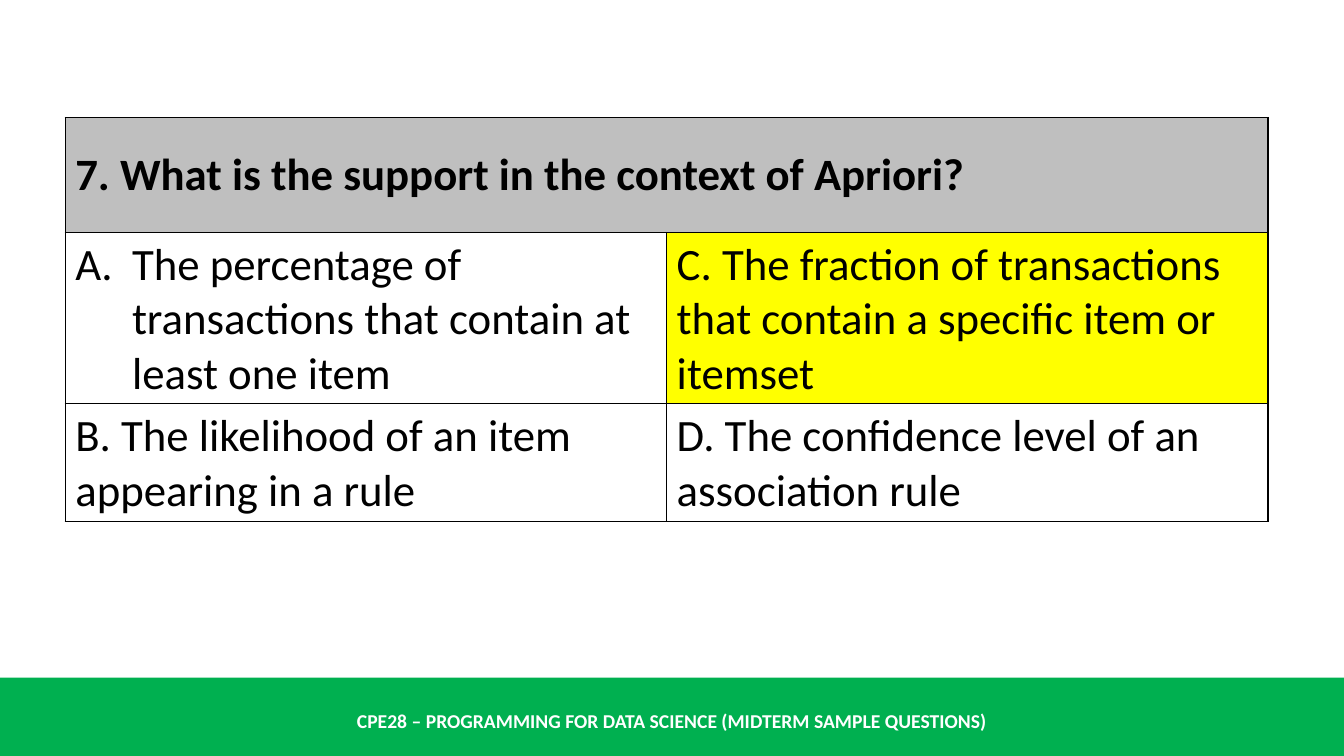
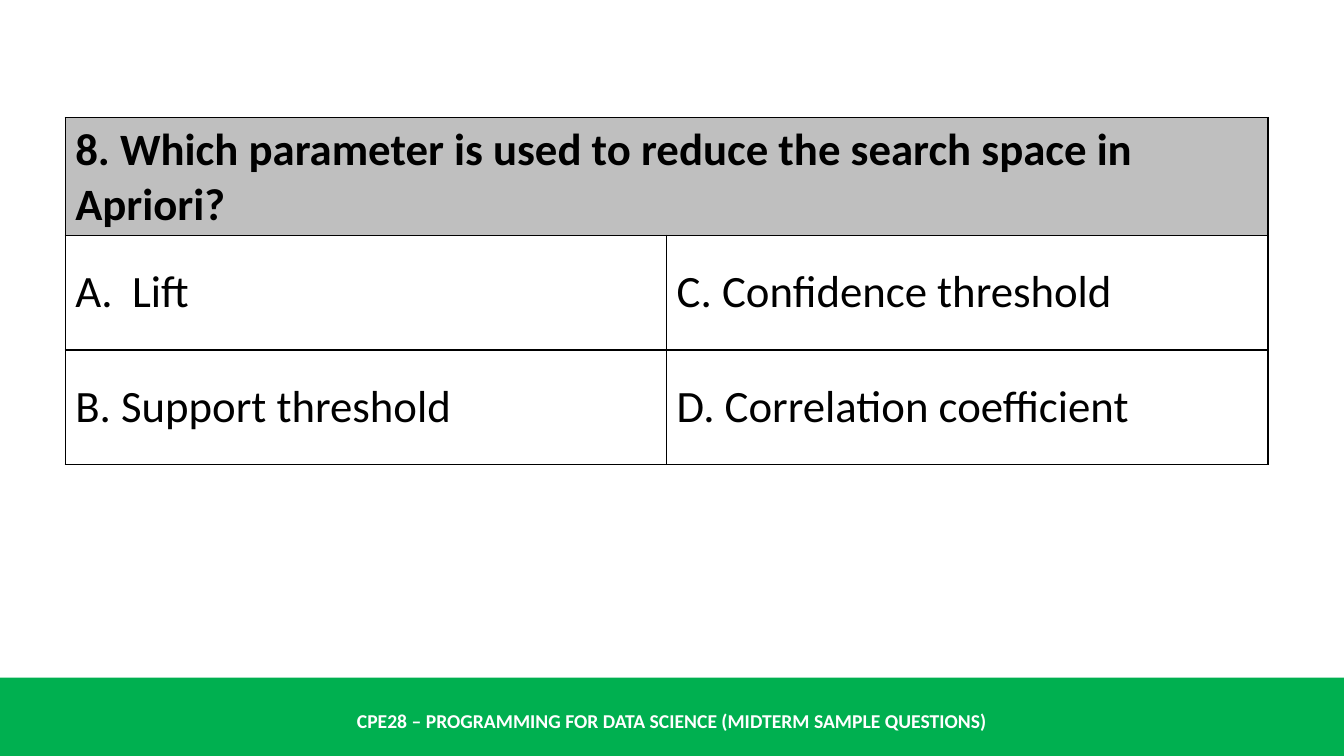
import pptx
import pptx.dml.color
import pptx.enum.shapes
import pptx.enum.text
import pptx.oxml
import pptx.oxml.ns
import pptx.util
import lxml.etree

Pt = pptx.util.Pt
RGB = pptx.dml.color.RGBColor.from_string
MIDDLE = pptx.enum.text.MSO_ANCHOR.MIDDLE

COLORS = {
    "band": "00B050",
    "band_text": "FFFFFF",
    "text": "000000",
    "border": "000000",
    "question": "BFBFBF",
    "answer": "FFFF00",
}
FOOTER = "CPE28 – PROGRAMMING FOR DATA SCIENCE (MIDTERM SAMPLE QUESTIONS)"
FOOTER_FONT = {"name": "Calibri", "size": Pt(14), "bold": True}
QUESTION_FONT = {"name": "Calibri", "size": Pt(32), "bold": True}
OPTION_FONT = {**QUESTION_FONT, "bold": False}
PLAIN_TABLE = {"first_row": False, "horz_banding": False}
SLIDE_WIDTH, SLIDE_HEIGHT = 960, 540
BAND_TOP = 484
COLUMN_WIDTH, ROW_HEIGHT = 429.6, 82
HANGING = 40.5

QUIZ = [
    {
        "question": "7. What is the support in the context of Apriori?",
        "options": [
            ["The percentage of transactions that contain at least one item",
             "C. The fraction of transactions that contain a specific item or itemset"],
            ["B. The likelihood of an item appearing in a rule",
             "D. The confidence level of an association rule"],
        ],
        "answer": (1, 1),
    },
    {
        "question": "8. Which parameter is used to reduce the search space in Apriori?",
        "options": [
            ["Lift", "C. Confidence threshold"],
            ["B. Support threshold", "D. Correlation coefficient"],
        ],
        "answer": None,
    },
]


def write(paragraph, text, font_format, color):
    run = paragraph.add_run()
    run.text = text
    for attribute, value in font_format.items():
        setattr(run.font, attribute, value)
    run.font.color.rgb = RGB(COLORS[color])


def style_cell(cell, fill):
    cell.vertical_anchor = MIDDLE
    if fill:
        cell.fill.solid()
        cell.fill.fore_color.rgb = RGB(COLORS[fill])
    else:
        cell.fill.background()
    properties = cell._tc.get_or_add_tcPr()
    for position, side in enumerate(("lnL", "lnR", "lnT", "lnB")):
        properties.insert(position, pptx.oxml.parse_xml(
            f'<a:{side} {pptx.oxml.ns.nsdecls("a")} w="{Pt(1)}"><a:solidFill>'
            f'<a:srgbClr val="{COLORS["border"]}"/></a:solidFill></a:{side}>'))


deck = pptx.Presentation()
deck.slide_width, deck.slide_height = Pt(SLIDE_WIDTH), Pt(SLIDE_HEIGHT)

for item in QUIZ:
    slide = deck.slides.add_slide(deck.slide_layouts[6])

    band = slide.shapes.add_shape(
        pptx.enum.shapes.MSO_SHAPE.RECTANGLE,
        0, Pt(BAND_TOP), Pt(SLIDE_WIDTH), Pt(SLIDE_HEIGHT - BAND_TOP))
    band.shadow.inherit = False
    band.fill.solid()
    band.fill.fore_color.rgb = RGB(COLORS["band"])
    band.line.fill.background()

    footer = slide.shapes.add_textbox(0, Pt(500.5), Pt(SLIDE_WIDTH), Pt(29)).text_frame
    footer.word_wrap = True
    footer.vertical_anchor = MIDDLE
    footer.paragraphs[0].alignment = pptx.enum.text.PP_ALIGN.CENTER
    write(footer.paragraphs[0], FOOTER, FOOTER_FONT, "band_text")

    table = slide.shapes.add_table(
        3, 2, Pt(46.6), Pt(84), Pt(2 * COLUMN_WIDTH), Pt(3 * ROW_HEIGHT)).table
    for attribute, value in PLAIN_TABLE.items():
        setattr(table, attribute, value)

    question = table.cell(0, 0)
    question.merge(table.cell(0, 1))
    for cell in (question, table.cell(0, 1)):
        style_cell(cell, "question")
    write(question.text_frame.paragraphs[0], item["question"], QUESTION_FONT, "text")

    for row, options in enumerate(item["options"], start=1):
        for column, option in enumerate(options):
            cell = table.cell(row, column)
            style_cell(cell, "answer" if (row, column) == item["answer"] else None)
            paragraph = cell.text_frame.paragraphs[0]
            if (row, column) == (1, 0):
                hanging = paragraph._p.get_or_add_pPr()
                hanging.set("marL", str(Pt(HANGING)))
                hanging.set("indent", str(-Pt(HANGING)))
                lxml.etree.SubElement(
                    hanging, pptx.oxml.ns.qn("a:buAutoNum"), type="alphaUcPeriod")
            write(paragraph, option, OPTION_FONT, "text")

deck.save("out.pptx")
